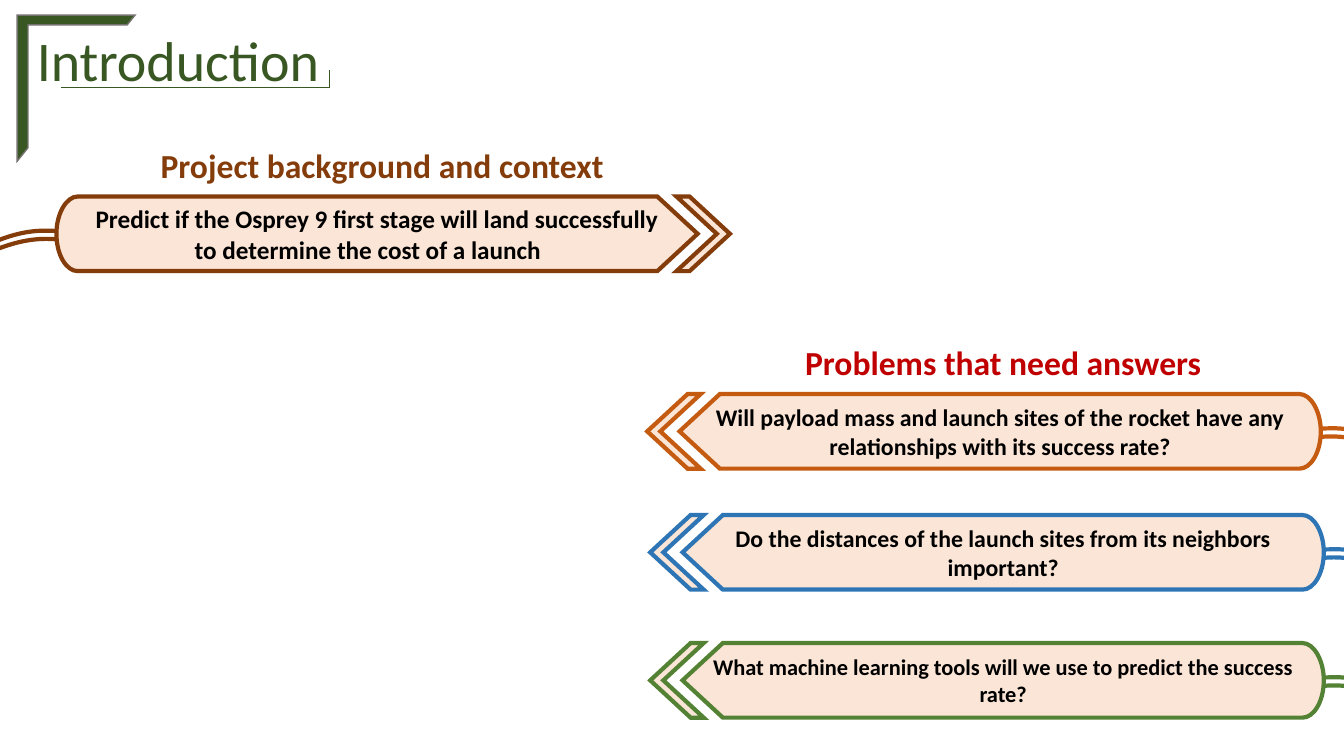
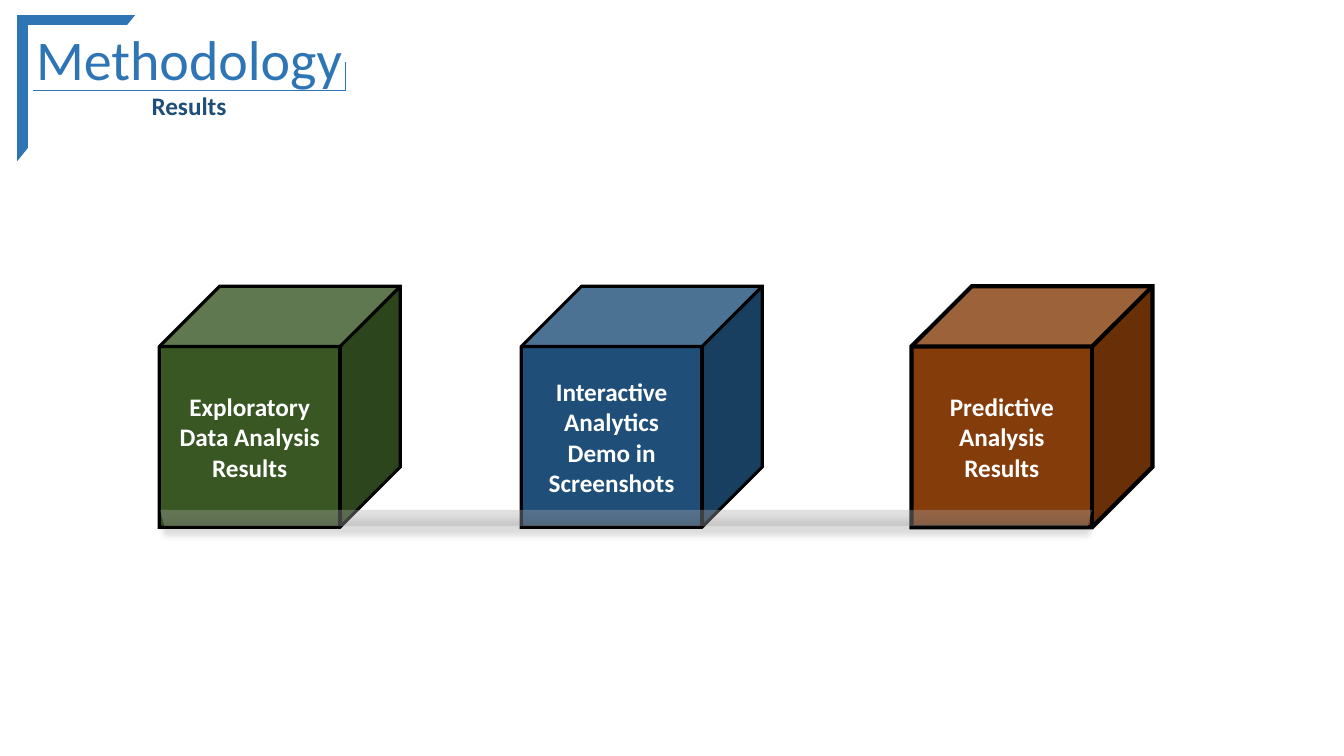
import pptx
import pptx.util
import pptx.dml.color
import pptx.enum.shapes
import pptx.enum.text
import pptx.oxml.ns
from lxml import etree

Inches, Pt = pptx.util.Inches, pptx.util.Pt
SHAPES = pptx.enum.shapes.MSO_SHAPE
ANCHOR = pptx.enum.text.MSO_ANCHOR
qn = pptx.oxml.ns.qn

FONT = "Calibri"
COLORS = {
    "forest": "385723", "green": "548235", "blue": "2E75B6", "navy": "1F4E79",
    "brown": "843C0B", "orange": "C55A11", "red": "C00000", "peach": "FBE5D6",
    "gray": "767171", "silver": "AFABAB", "black": "000000", "white": "FFFFFF",
}

# Content: boxes are left, top, width, height in inches
INTRODUCTION = {
    "title": "Introduction", "color": "forest", "frame_line": "gray",
    "box": (0.17, 0.2, 3.19, 0.77),
    "rule": [(0.61, 0.87), (3.27, 0.87), (3.27, 0.69)],
}
METHODOLOGY = {
    "title": "Methodology", "color": "blue", "frame_line": None,
    "box": (-0.07, 0.19, 3.89, 0.77),
    "rule": [(0.33, 0.9), (3.43, 0.9), (3.43, 0.62)],
}
HEADINGS = [
    ("Project background and context", (1.26, 1.39, 5.06, 0.5), "brown"),
    ("Problems that need answers", (7.42, 3.34, 5.06, 0.5), "red"),
]
# Chevron tip x, top y, direction of the tail (1 right, -1 left), colour, size, lines
BANNERS = [
    (7.24, 1.95, -1, "brown", 18,
     ["Predict if the Osprey 9 first stage will land successfully",
      "to determine the cost of a launch"]),
    (6.42, 3.91, 1, "orange", 17,
     ["Will payload mass and launch sites of the rocket have any "
      "relationships with its success rate?"]),
    (6.45, 5.11, 1, "blue", 17,
     ["Do the distances of the launch sites from its neighbors important?"]),
    (6.45, 6.38, 1, "green", 16,
     ["What machine learning tools will we use to predict the success rate?"]),
]
SECOND_LINE_INDENT = 0.18
CUBES = [
    (1.58, "Exploratory Data Analysis Results", "forest", 2.25),
    (5.17, "Interactive Analytics Demo in Screenshots", "navy", 2.25),
    (9.04, "Predictive Analysis Results", "brown", 3),
]
CUBE_TOP, CUBE_SIZE = 2.84, 2.39

# Banner geometry, measured from the chevron tip and the banner top
BANNER_HEIGHT, CHEVRON_WIDTH = 0.74, 0.53
BODY_EDGES = [(6.47, 0), (0.72, 0), (0.32, 0.37), (0.72, 0.74), (6.47, 0.74)]
BODY_ROUND = [(6.58, 0.74), (6.68, 0.58), (6.68, 0.37),
              (6.68, 0.17), (6.58, 0), (6.47, 0)]
# Each tail is a start point followed by two Bezier curves of three points
TAILS = [
    [(7.37, 0.48), (7.18, 0.4), (6.99, 0.33), (6.75, 0.34),
     (6.5, 0.34), (6.2, 0.42), (5.9, 0.5)],
    [(7.37, 0.56), (7.19, 0.49), (7.01, 0.42), (6.78, 0.42),
     (6.55, 0.42), (6.27, 0.5), (5.98, 0.58)],
]


def rgb(name):
    return pptx.dml.color.RGBColor.from_string(COLORS[name])


def place(box):
    return [Inches(value) for value in box]


def style(shape, fill=None, line=None, width=1):
    shape.shadow.inherit = False
    if fill:
        shape.fill.solid()
        shape.fill.fore_color.rgb = rgb(fill)
    else:
        shape.fill.background()
    if line:
        shape.line.color.rgb = rgb(line)
        shape.line.width = Pt(width)
        outline = shape._element.spPr.find(qn("a:ln"))
        etree.SubElement(outline, qn("a:miter"), lim="800000")
    else:
        shape.line.fill.background()


def flip(shape, axis):
    shape._element.spPr.find(qn("a:xfrm")).set(axis, "1")


def write(shape, lines, size, color, bold=True, anchor=ANCHOR.MIDDLE):
    frame = shape.text_frame
    frame.word_wrap = True
    frame.auto_size = pptx.enum.text.MSO_AUTO_SIZE.NONE
    frame.vertical_anchor = anchor
    for index, line in enumerate(lines):
        paragraph = frame.add_paragraph() if index else frame.paragraphs[0]
        paragraph.alignment = pptx.enum.text.PP_ALIGN.CENTER
        if index:
            paragraph._p.get_or_add_pPr().set("marR", str(Inches(SECOND_LINE_INDENT)))
        run = paragraph.add_run()
        run.text = line
        run.font.name, run.font.size, run.font.bold = FONT, Pt(size), bold
        run.font.color.rgb = rgb(color)


def add_heading(slide, text, box, color, size):
    heading = slide.shapes.add_textbox(*place(box))
    write(heading, [text], size, color, anchor=ANCHOR.TOP)


def add_titled_slide(presentation, header):
    slide = presentation.slides.add_slide(presentation.slide_layouts[5])
    title = slide.shapes.title
    title.left, title.top, title.width, title.height = place(header["box"])
    write(title, [header["title"]], 40, header["color"], False, ANCHOR.TOP)

    corner = slide.shapes.add_shape(SHAPES.HALF_FRAME, *place((0.17, 0.15, 1.17, 1.45)))
    corner.adjustments[0], corner.adjustments[1] = 0.083, 0.092
    style(corner, header["color"], header["frame_line"])

    for start, end in zip(header["rule"], header["rule"][1:]):
        rule = slide.shapes.add_connector(
            pptx.enum.shapes.MSO_CONNECTOR.STRAIGHT, *place(start + end))
        rule.line.color.rgb = rgb(header["color"])
        rule.line.width = Pt(0.5)
        etree.SubElement(rule._element.spPr, qn("a:effectLst"))
    return slide


def bend(shape, first):
    """Turn the straight segments from index first on, three by three, into curves."""
    segments = list(shape._element.iter(qn("a:lnTo")))[first:]
    for index in range(0, len(segments), 3):
        start, *others = segments[index:index + 3]
        curve = etree.Element(qn("a:cubicBezTo"))
        start.addprevious(curve)
        for segment in (start, *others):
            curve.append(segment[0])
            segment.getparent().remove(segment)


def add_banner(slide, tip, top, direction, color, size, lines):
    def outline(edges, curves, closed):
        spots = [place((tip + direction * x, top + y)) for x, y in edges + curves]
        builder = slide.shapes.build_freeform(*spots[0])
        builder.add_line_segments(spots[1:], close=closed)
        shape = builder.convert_to_shape()
        bend(shape, len(edges) - 1)
        return shape

    left = min(tip, tip + direction * CHEVRON_WIDTH)
    chevron = slide.shapes.add_shape(
        SHAPES.CHEVRON, *place((left, top, CHEVRON_WIDTH, BANNER_HEIGHT)))
    chevron.adjustments[0] = 0.755
    style(chevron, "peach", color, 3)
    if direction > 0:
        flip(chevron, "flipH")

    for tail in TAILS:
        style(outline(tail[:1], tail[1:], False), None, color, 3)

    body = outline(BODY_EDGES, BODY_ROUND, True)
    style(body, "peach", color, 3)
    write(body, lines, size, "black")


def add_shelf(slide):
    shelf = slide.shapes.add_shape(SHAPES.TRAPEZOID, *place((1.59, 5.06, 9.24, 0.16)))
    style(shelf, "silver")
    flip(shelf, "flipV")
    properties = shelf._element.spPr
    fill_color = properties.find(qn("a:solidFill"))[0]
    etree.SubElement(fill_color, qn("a:alpha"), val="37000")
    shadow = etree.SubElement(
        properties.find(qn("a:effectLst")), qn("a:outerShdw"), blurRad=str(Pt(4)),
        dist=str(Pt(6)), dir="5400000", algn="t", rotWithShape="0")
    shadow_color = etree.SubElement(shadow, qn("a:srgbClr"), val=COLORS["black"])
    etree.SubElement(shadow_color, qn("a:alpha"), val="38000")


def main():
    presentation = pptx.Presentation()
    presentation.slide_width, presentation.slide_height = Inches(13.33), Inches(7.5)

    # Introduction
    slide = add_titled_slide(presentation, INTRODUCTION)
    for text, box, color in HEADINGS:
        add_heading(slide, text, box, color, 24)
    for banner in BANNERS:
        add_banner(slide, *banner)

    # Methodology
    slide = add_titled_slide(presentation, METHODOLOGY)
    add_heading(slide, "Results", (0.22, 0.85, 3.31, 0.4), "navy", 18)
    for left, text, color, width in CUBES:
        cube = slide.shapes.add_shape(
            SHAPES.CUBE, *place((left, CUBE_TOP, CUBE_SIZE, CUBE_SIZE)))
        style(cube, color, "black", width)
        write(cube, [text], 18, "white")
    add_shelf(slide)

    presentation.save("out.pptx")


if __name__ == "__main__":
    main()
